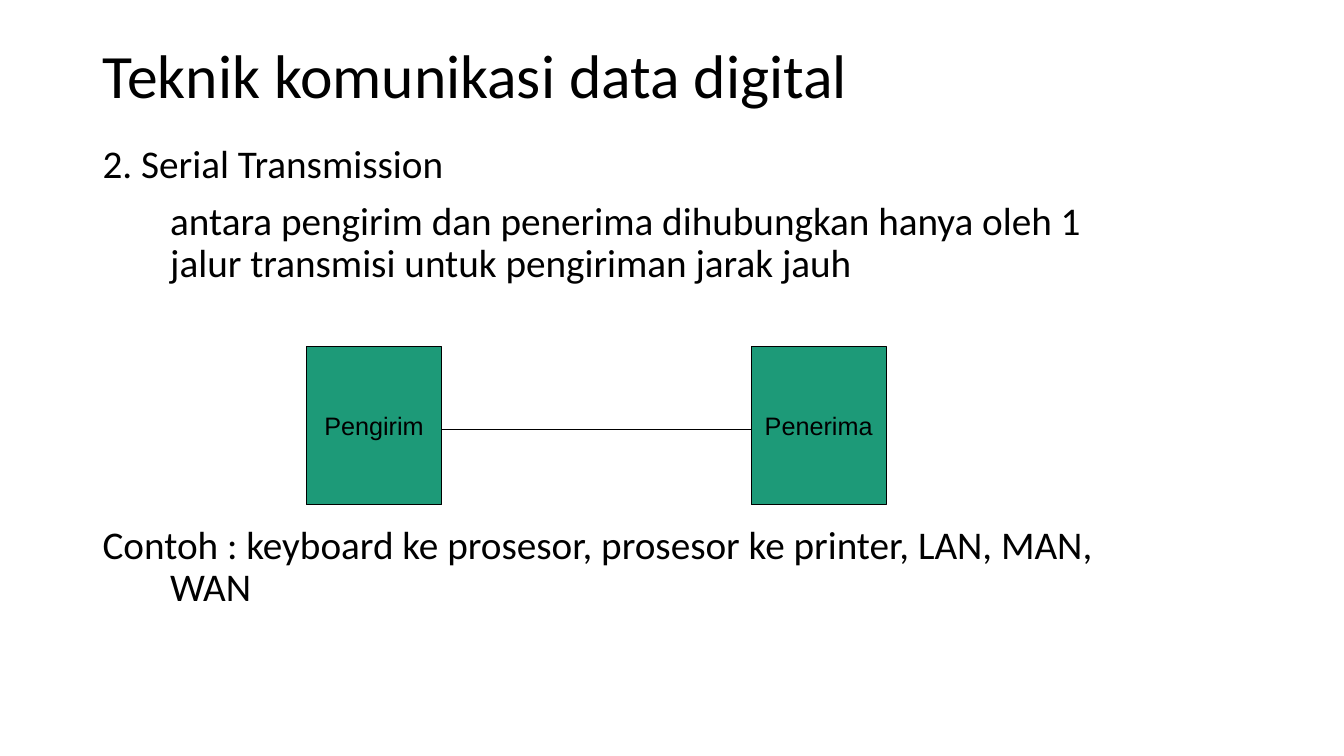
from dataclasses import dataclass

from lxml import etree
from pptx import Presentation
from pptx import util as u
from pptx.dml.color import RGBColor
from pptx.enum import shapes, text
from pptx.oxml import ns

PX = 9144  # EMU per px, 100 px to the inch
BLACK = RGBColor(0x00, 0x00, 0x00)
GREEN = RGBColor(0x1D, 0x9A, 0x78)
LINE_WIDTH = u.Pt(0.75)
HANGING = 67


@dataclass(frozen=True)
class Line:
    words: str
    size: int
    left: int = 0
    indent: int = 0
    before: int = 0


@dataclass(frozen=True)
class TextBlock:
    left: int
    top: int
    width: int
    height: int
    lines: tuple[Line, ...]


@dataclass(frozen=True)
class Station:
    label: str
    left: int
    top: int = 344
    width: int = 134
    height: int = 157


TITLE = TextBlock(92, 40, 1150, 145, (Line("Teknik komunikasi data digital", 44),))
BODY = TextBlock(92, 139, 1026, 495, (
    Line("2. Serial Transmission", 28, HANGING, -HANGING),
    Line("antara pengirim dan penerima dihubungkan hanya oleh 1 "
         "jalur transmisi untuk pengiriman jarak jauh", 28, HANGING, 0, 10),
    # The large space leaves room for the diagram
    Line("Contoh : keyboard ke prosesor, prosesor ke printer, LAN, MAN, WAN",
         28, HANGING, -HANGING, 171),
))
SENDER = Station("Pengirim", 304)
RECEIVER = Station("Penerima", 745)
LINK_Y = 426


def px(length: int) -> u.Emu:
    return u.Emu(length * PX)


def style_font(font, name: str, size: int) -> None:
    font.name = name
    font.size = u.Pt(size)
    font.color.rgb = BLACK


def add_text(slide, block: TextBlock) -> None:
    box = slide.shapes.add_textbox(px(block.left), px(block.top),
                                   px(block.width), px(block.height))
    frame = box.text_frame
    frame.word_wrap = True
    frame.text = "\n".join(line.words for line in block.lines)
    for paragraph, line in zip(frame.paragraphs, block.lines):
        properties = paragraph._p.get_or_add_pPr()
        properties.set("marL", str(px(line.left)))
        properties.set("indent", str(px(line.indent)))
        paragraph.line_spacing = 0.9
        paragraph.space_before = u.Pt(line.before)
        style_font(paragraph.runs[0].font, "Calibri", line.size)


def add_station(slide, station: Station) -> None:
    shape = slide.shapes.add_shape(shapes.MSO_SHAPE.RECTANGLE,
                                   px(station.left), px(station.top),
                                   px(station.width), px(station.height))
    shape.shadow.inherit = False
    shape.fill.solid()
    shape.fill.fore_color.rgb = GREEN
    shape.line.color.rgb = BLACK
    shape.line.width = LINE_WIDTH
    frame = shape.text_frame
    frame.word_wrap = False
    frame.vertical_anchor = text.MSO_ANCHOR.MIDDLE
    frame.text = station.label
    paragraph = frame.paragraphs[0]
    paragraph.alignment = text.PP_ALIGN.CENTER
    style_font(paragraph.runs[0].font, "Arial", 18)


def add_link(slide, start: Station, end: Station) -> None:
    connector = slide.shapes.add_connector(
        shapes.MSO_CONNECTOR.STRAIGHT, px(start.left + start.width), px(LINK_Y),
        px(end.left), px(LINK_Y))
    connector.line.color.rgb = BLACK
    connector.line.width = LINE_WIDTH
    etree.SubElement(connector._element.spPr, ns.qn("a:effectLst"))


def main() -> None:
    presentation = Presentation()
    presentation.slide_width = px(1333)
    presentation.slide_height = px(750)
    slide = presentation.slides.add_slide(presentation.slide_layouts[6])

    # Title and body
    for block in (TITLE, BODY):
        add_text(slide, block)

    # Diagram: two stations joined by one line
    for station in (SENDER, RECEIVER):
        add_station(slide, station)
    add_link(slide, SENDER, RECEIVER)

    presentation.save("out.pptx")


if __name__ == "__main__":
    main()
